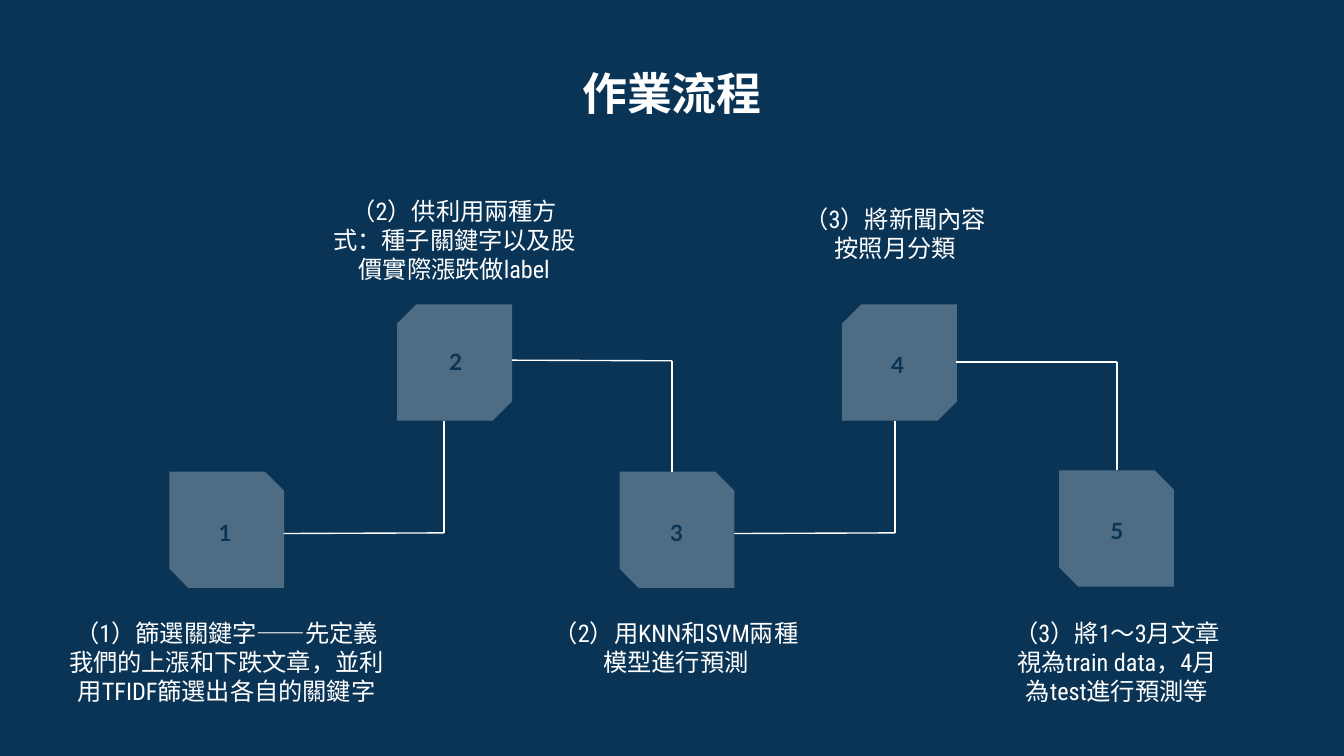
from lxml import etree
from pptx import Presentation
from pptx import util as u
from pptx.dml.color import RGBColor
from pptx.enum import shapes, text
from pptx.oxml.ns import qn

PX = 4572  # 200 px to the inch
NAVY = RGBColor(0x0A, 0x34, 0x55)
WHITE = RGBColor(0xFF, 0xFF, 0xFF)
HEAD = dict(name="Lato", size=u.Pt(24), bold=True)
NUM = dict(name="Lato", size=u.Pt(12), bold=True)
BODY = dict(name="Roboto Condensed", size=u.Pt(13), bold=False)

deck = Presentation()
deck.slide_width, deck.slide_height = 2000 * PX, 1125 * PX
slide = deck.slides.add_slide(deck.slide_layouts[6])
slide.background.fill.solid()
slide.background.fill.fore_color.rgb = NAVY


def label(words, area, style, color):
    box = slide.shapes.add_textbox(*(n * PX for n in area))
    frame = box.text_frame
    frame.word_wrap = True
    for side in ("left", "right", "top", "bottom"):
        setattr(frame, "margin_" + side, 20 * PX)
    para = frame.paragraphs[0]
    para.alignment = text.PP_ALIGN.CENTER
    # Keep punctuation inside the box when lines break
    para._p.get_or_add_pPr().set("hangingPunct", "0")
    run = para.add_run()
    run.text = words
    for key, val in style.items():
        setattr(run.font, key, val)
    run.font.color.rgb = color
    return frame


# Title
label("作業流程", (430, 78, 1140, 206), HEAD, WHITE)

# Step tiles: left, top, cut corners
LOW, HIGH = (0, 0.167), (0.167, 0)
tiles = [(252, 702, LOW), (591, 453, HIGH), (922, 702, LOW),
         (1253, 453, HIGH), (1576, 700, LOW)]
for left, top, cuts in tiles:
    tile = slide.shapes.add_shape(
        shapes.MSO_SHAPE.SNIP_2_DIAG_RECTANGLE,
        left * PX, top * PX, 171 * PX, 173 * PX)
    tile.adjustments[0], tile.adjustments[1] = cuts
    tile.shadow.inherit = False
    tile.line.fill.background()
    tile.fill.solid()
    tile.fill.fore_color.rgb = WHITE
    tint = tile.fill._xPr.find(".//" + qn("a:srgbClr"))
    etree.SubElement(tint, qn("a:alpha"), val="28000")

# Lines between the steps
links = [(422, 794, 661, 793), (661, 793, 661, 627),
         (762, 536, 1000, 537), (1000, 537, 1000, 702),
         (1093, 794, 1332, 793), (1332, 793, 1332, 627),
         (1423, 539, 1662, 539), (1662, 539, 1662, 700)]
for ends in links:
    link = slide.shapes.add_connector(
        shapes.MSO_CONNECTOR.STRAIGHT, *(n * PX for n in ends))
    link.line.color.rgb = WHITE
    link.line.width = u.Pt(0.75)
    etree.SubElement(link._element.spPr, qn("a:effectLst"))

# Step numbers
spots = [(249, 752), (592, 498), (921, 752), (1250, 500), (1576, 750)]
for num, (left, top) in enumerate(spots, 1):
    frame = label(str(num), (left, top, 172, 86), NUM, NAVY)
    if num == 4:
        frame.vertical_anchor = text.MSO_ANCHOR.MIDDLE

# Step notes: left, top, width
notes = [
    ("（1）篩選關鍵字——先定義我們的上漲和下跌文章，並利用TFIDF篩選出各自的關鍵字", 81, 900, 512),
    ("（2）供利用兩種方式：種子關鍵字以及股價實際漲跌做label", 470, 272, 412),
    ("（2）用KNN和SVM兩種模型進行預測", 800, 900, 412),
    ("（3）將新聞內容按照月分類", 1174, 284, 316),
    ("（3）將1～3月文章視為train data，4月為test進行預測等", 1488, 900, 348),
]
for words, left, top, wide in notes:
    label(words, (left, top, wide, 132), BODY, WHITE)

deck.save("out.pptx")
